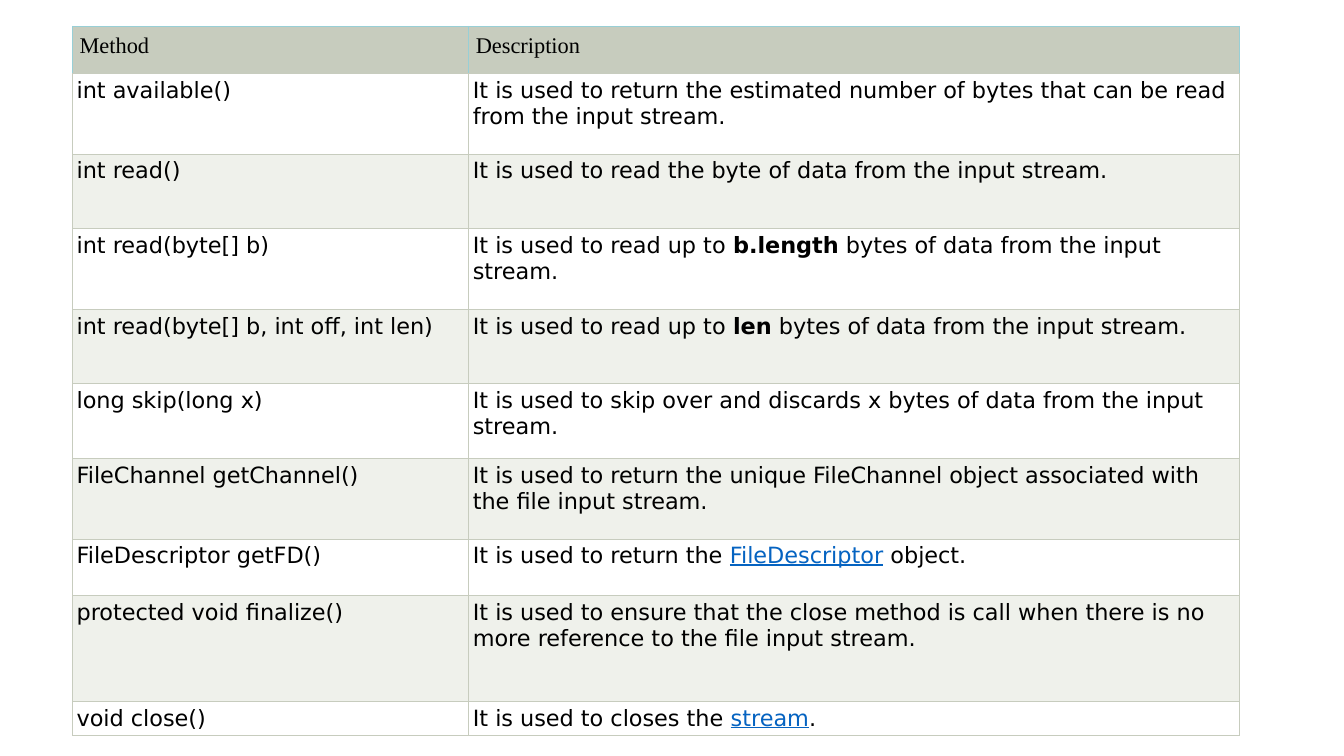
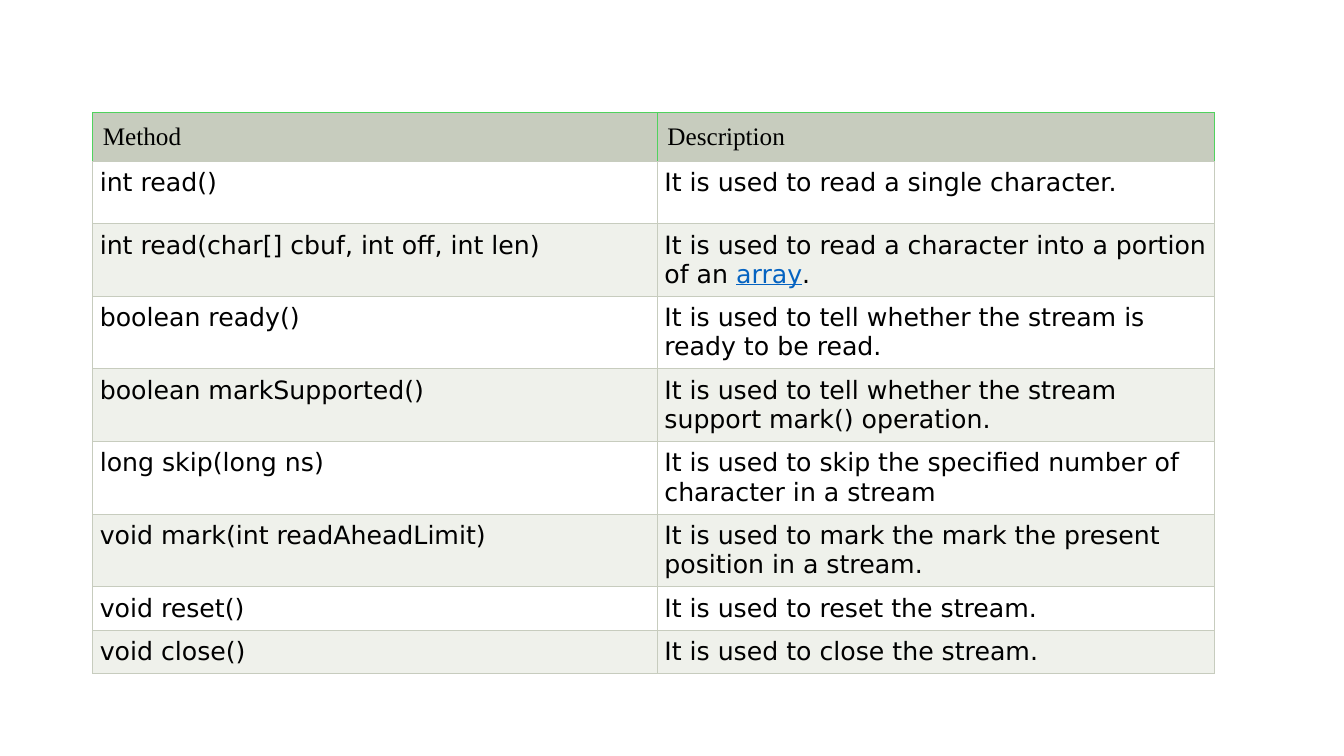
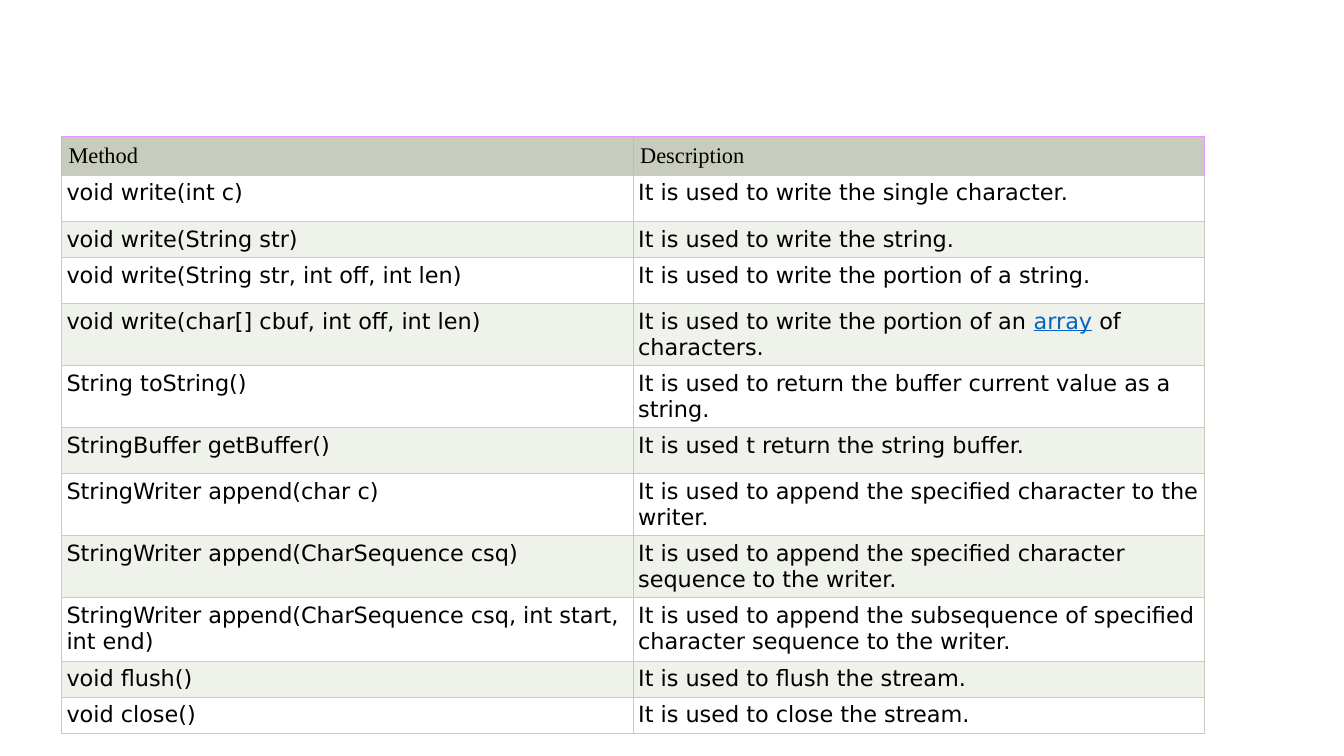
"""Build three slides that list the methods of Java stream classes."""
from lxml import etree
from pptx import Presentation
from pptx.dml.color import RGBColor
from pptx.oxml.ns import qn
from pptx.util import Inches, Pt

HEADER_FONT = "Times New Roman"
BODY_FONT = "DejaVu Sans"
BLACK = "000000"
HEADER_FILL = "C7CCBE"
ROW_FILLS = ("EFF1EB", "FFFFFF")
GRID = "C7CCBE"
GRID_WIDTH = Pt(0.75)
LINK = {"color": "0563C1", "underline": True}
BOLD = {"bold": True}
BLANK_LAYOUT = 6
HEADINGS = ("Method", "Description")

FILE_INPUT_METHODS = [
    ("int available()", "It is used to return the estimated number of bytes "
     "that can be read from the input stream."),
    ("int read()", "It is used to read the byte of data from the input stream."),
    ("int read(byte[] b)", [("It is used to read up to ", {}), ("b.length", BOLD),
                            (" bytes of data from the input stream.", {})]),
    ("int read(byte[] b, int off, int len)",
     [("It is used to read up to ", {}), ("len", BOLD),
      (" bytes of data from the input stream.", {})]),
    ("long skip(long x)",
     "It is used to skip over and discards x bytes of data from the input stream."),
    ("FileChannel getChannel()", "It is used to return the unique FileChannel "
     "object associated with the file input stream."),
    ("FileDescriptor getFD()", [("It is used to return the ", {}),
                                ("FileDescriptor", LINK), (" object.", {})]),
    ("protected void finalize()", "It is used to ensure that the close method is "
     "call when there is no more reference to the file input stream."),
    ("void close()", [("It is used to closes the ", {}), ("stream", LINK), (".", {})]),
]

READER_METHODS = [
    ("int read()", "It is used to read a single character."),
    ("int read(char[] cbuf, int off, int len)",
     [("It is used to read a character into a portion of an ", {}),
      ("array", LINK), (".", {})]),
    ("boolean ready()", "It is used to tell whether the stream is ready to be read."),
    ("boolean markSupported()",
     "It is used to tell whether the stream support mark() operation."),
    ("long skip(long ns)",
     "It is used to skip the specified number of character in a stream"),
    ("void mark(int readAheadLimit)",
     "It is used to mark the mark the present position in a stream."),
    ("void reset()", "It is used to reset the stream."),
    ("void close()", "It is used to close the stream."),
]

WRITER_METHODS = [
    ("void write(int c)", "It is used to write the single character."),
    ("void write(String str)", "It is used to write the string."),
    ("void write(String str, int off, int len)",
     "It is used to write the portion of a string."),
    ("void write(char[] cbuf, int off, int len)",
     [("It is used to write the portion of an ", {}), ("array", LINK),
      (" of characters.", {})]),
    ("String toString()", "It is used to return the buffer current value as a string."),
    ("StringBuffer getBuffer()", "It is used t return the string buffer."),
    ("StringWriter append(char c)",
     "It is used to append the specified character to the writer."),
    ("StringWriter append(CharSequence csq)",
     "It is used to append the specified character sequence to the writer."),
    ("StringWriter append(CharSequence csq, int start, int end)",
     "It is used to append the subsequence of specified character sequence "
     "to the writer."),
    ("void flush()", "It is used to flush the stream."),
    ("void close()", "It is used to close the stream."),
]


def rgb(value):
    """Turn a hex string into a colour."""
    return RGBColor.from_string(value)


def add_text(para, text, font=BODY_FONT, size=16, color=BLACK, bold=False,
             underline=False):
    """Append one formatted span to a paragraph."""
    span = para.add_run()
    span.text = text
    span.font.name = font
    span.font.size = Pt(size)
    span.font.color.rgb = rgb(color)
    span.font.bold = bold
    span.font.underline = underline


class MethodDeck:
    """Holds the deck, its table style and the current slide."""

    def __init__(self):
        """Start an empty widescreen deck."""
        self.deck = Presentation()
        self.deck.slide_width = Inches(13.33)
        self.deck.slide_height = Inches(7.5)
        self.page = None

    def add_page(self):
        """Start a blank slide."""
        layout = self.deck.slide_layouts[BLANK_LAYOUT]
        self.page = self.deck.slides.add_slide(layout)

    def set_borders(self, cell, edge):
        """Draw left, right and top lines in one colour above a grid line."""
        properties = cell._tc.get_or_add_tcPr()
        for side, color in (("L", edge), ("R", edge), ("T", edge), ("B", GRID)):
            line = etree.SubElement(properties, qn("a:ln" + side), w=str(GRID_WIDTH))
            fill = etree.SubElement(line, qn("a:solidFill"))
            etree.SubElement(fill, qn("a:srgbClr"), val=color)

    def fill_cell(self, cell, content, fill, edge, inset, **style):
        """Format one cell and write its text or list of spans."""
        self.set_borders(cell, edge)
        cell.fill.solid()
        cell.fill.fore_color.rgb = rgb(fill)
        cell.margin_left = cell.margin_right = Inches(inset)
        cell.margin_top = cell.margin_bottom = Inches(inset)
        spans = [(content, {})] if isinstance(content, str) else content
        para = cell.text_frame.paragraphs[0]
        for text, extra in spans:
            add_text(para, text, **style, **extra)

    def add_method_table(self, methods, left, top, widths, heights, size, edge,
                         header_inset, body_inset):
        """Add a table with a header row and one banded row per method."""
        frame = self.page.shapes.add_table(
            len(heights), len(widths), Inches(left), Inches(top),
            Inches(sum(widths)), Inches(sum(heights)))
        table = frame.table
        table.horz_banding = False
        for column, width in zip(table.columns, widths):
            column.width = Inches(width)
        for row, height in zip(table.rows, heights):
            row.height = Inches(height)
        for index, content in enumerate(HEADINGS):
            self.fill_cell(table.cell(0, index), content, HEADER_FILL, edge,
                           header_inset, font=HEADER_FONT, size=size)
        for number, method in enumerate(methods, 1):
            for index, content in enumerate(method):
                self.fill_cell(table.cell(number, index), content,
                               ROW_FILLS[number % 2], GRID, body_inset, size=size)


def main():
    """Build and save the deck."""
    builder = MethodDeck()
    builder.add_page()
    builder.add_method_table(
        FILE_INPUT_METHODS, 0.72, 0.26, (3.93, 7.64),
        (0.47, 0.8, 0.74, 0.8, 0.74, 0.74, 0.8, 0.56, 1.05, 0.3),
        size=16, edge="98CFD6", header_inset=0.07, body_inset=0.04)
    builder.add_page()
    builder.add_method_table(
        READER_METHODS, 0.92, 1.12, (5.6, 5.53),
        (0.48, 0.62, *[0.71] * 5, 0.42, 0.42),
        size=18, edge="50D25E", header_inset=0.1, body_inset=0.07)
    builder.add_page()
    builder.add_method_table(
        WRITER_METHODS, 0.61, 1.35, (5.67, 5.67),
        (0.33, 0.46, 0.28, *[0.46] * 6, 0.63, 0.28, 0.28),
        size=16, edge="E897FF", header_inset=0.07, body_inset=0.05)
    builder.deck.save("out.pptx")


if __name__ == "__main__":
    main()
